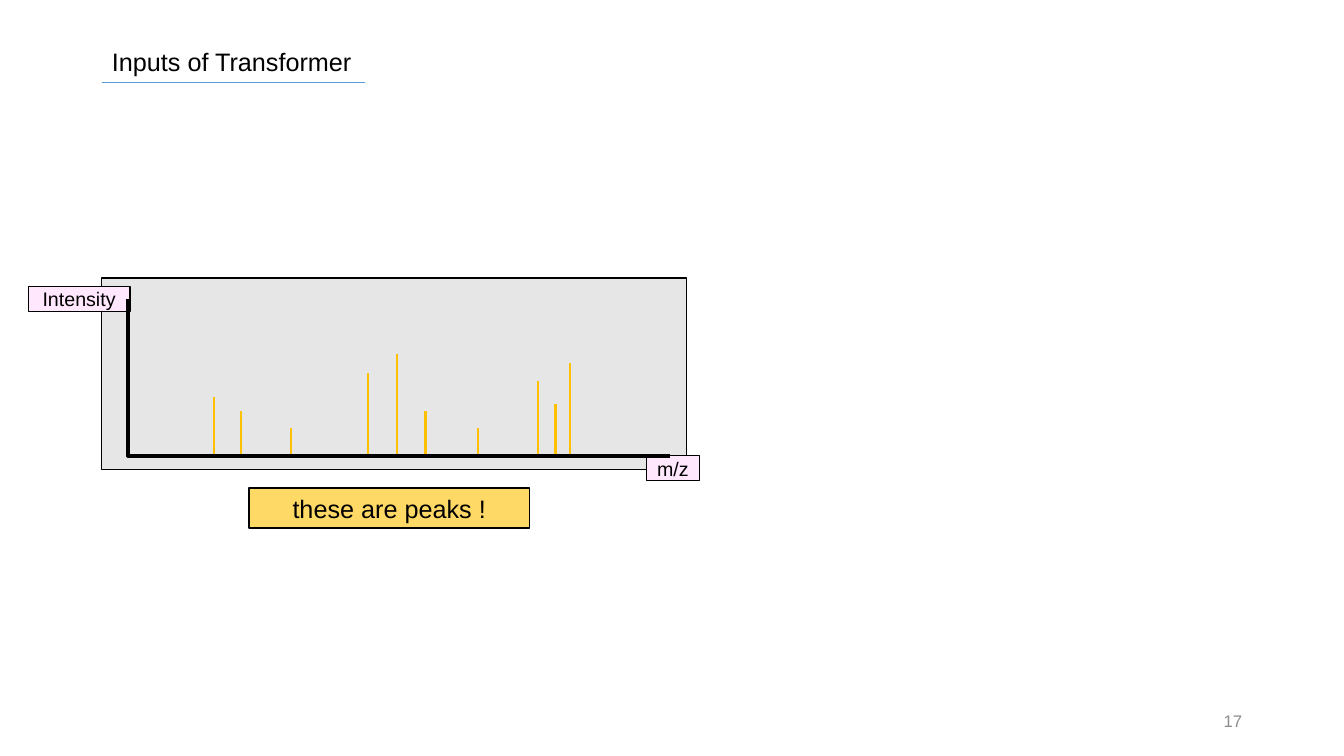
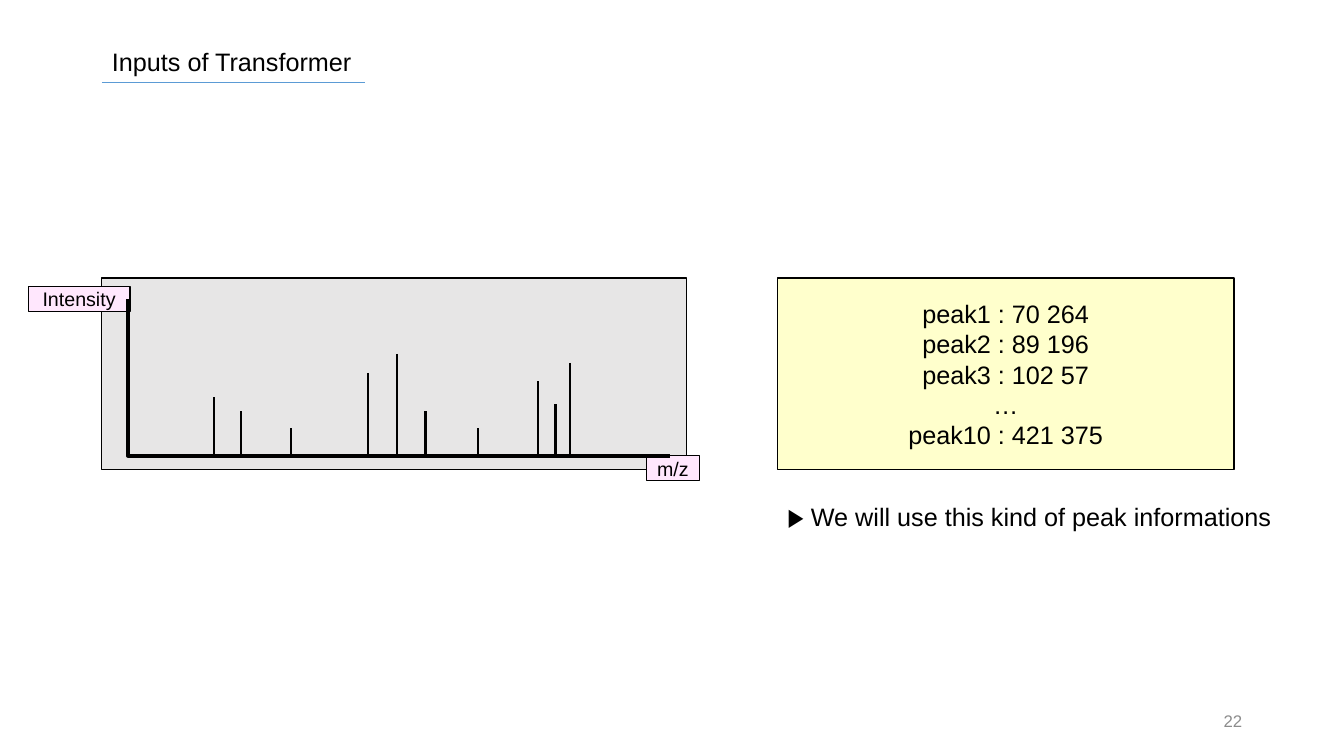
"""Build two slides on the peak inputs of a transformer."""
from dataclasses import dataclass
from typing import Any, NamedTuple, Optional

from lxml import etree
from pptx import Presentation, util as u
from pptx.dml.color import RGBColor
from pptx.enum import shapes, text
from pptx.oxml.ns import qn
from pptx.slide import Slide

PX = 9144


@dataclass(frozen=True)
class Theme:
    """Colours and type sizes of the deck."""

    font: str = "Arial"
    ink: str = "000000"
    rule: str = "5B9BD5"
    panel: str = "E7E6E6"
    label: str = "FFE7FD"
    callout: str = "FFD966"
    peak_list: str = "FFFFCC"
    highlight: str = "FFC000"
    page_number: str = "8C8C8C"
    body_size: int = 18
    label_size: int = 14
    page_size: int = 12


class Box(NamedTuple):
    """A rectangle in px."""

    left: int
    top: int
    width: int
    height: int


class Peak(NamedTuple):
    """A vertical peak line in px."""

    x: int
    top: int
    bottom: int = 452


@dataclass(frozen=True)
class Page:
    """What differs from slide to slide."""

    number: str
    layout: int
    peak_color: str
    callout: str = ""
    peak_list: tuple[str, ...] = ()
    remark: str = ""


THEME = Theme()
TITLE = "Inputs of Transformer"
PANEL = Box(101, 276, 580, 190)
LABELS = {"Intensity": Box(28, 284, 101, 25), "m/z": Box(641, 452, 53, 25)}
AXES = (127, 297, 665, 452)
PEAKS = (
    Peak(212, 394), Peak(239, 408), Peak(289, 425), Peak(365, 370), Peak(394, 351),
    Peak(422, 408), Peak(474, 425), Peak(534, 378), Peak(551, 401, 450), Peak(565, 360),
)
PAGES = (
    Page("17", 5, THEME.highlight, callout="these are peaks !"),
    Page(
        "22", 1, THEME.ink,
        peak_list=("peak1 : 70 264", "peak2 : 89 196", "peak3 : 102 57", "…", "peak10 : 421 375"),
        remark="▶ We will use this kind of peak informations",
    ),
)


def assign(target: Any, values: dict[str, Any]) -> None:
    """Set every attribute named in a format dict."""
    for name, value in values.items():
        setattr(target, name, value)


def place(shape: Any, box: Box) -> None:
    """Move and size a shape."""
    assign(shape, {name: value * PX for name, value in box._asdict().items()})


def outline(shape: Any, color: str, width: float) -> None:
    """Give a shape or connector a solid line."""
    shape.line.color.rgb = RGBColor.from_string(color)
    shape.line.width = u.Pt(width)


def paint(shape: Any, fill: str) -> None:
    """Fill a shape and give it a thin dark edge."""
    shape.fill.solid()
    shape.fill.fore_color.rgb = RGBColor.from_string(fill)
    outline(shape, THEME.ink, 1)


def write(shape: Any, lines: tuple[str, ...], size: int = THEME.body_size,
          color: str = THEME.ink, align: Any = text.PP_ALIGN.LEFT,
          anchor: Any = text.MSO_ANCHOR.TOP, wrap: bool = True) -> None:
    """Write formatted paragraphs into a shape."""
    frame = shape.text_frame
    frame.text = "\n".join(lines)
    assign(frame, {"word_wrap": wrap, "auto_size": text.MSO_AUTO_SIZE.NONE,
                   "vertical_anchor": anchor})
    for paragraph in frame.paragraphs:
        assign(paragraph, {"alignment": align, "space_before": u.Pt(0)})
        for run in paragraph.runs:
            assign(run.font, {"name": THEME.font, "size": u.Pt(size)})
            run.font.color.rgb = RGBColor.from_string(color)


def add_box(parent: Any, box: Box, fill: str, caption: str = "",
            size: int = THEME.body_size) -> None:
    """Add an edged rectangle with an optional centred caption."""
    shape = parent.add_shape(shapes.MSO_SHAPE.RECTANGLE, *(value * PX for value in box))
    shape.shadow.inherit = False
    paint(shape, fill)
    if caption:
        write(shape, (caption,), size, align=text.PP_ALIGN.CENTER,
              anchor=text.MSO_ANCHOR.MIDDLE, wrap=False)


def add_line(parent: Any, ends: tuple[int, int, int, int], color: str, width: float,
             bend: Optional[int] = None) -> None:
    """Add a straight line, or an elbow when a bend is given."""
    kind = shapes.MSO_CONNECTOR.STRAIGHT if bend is None else shapes.MSO_CONNECTOR.ELBOW
    connector = parent.add_connector(kind, *(value * PX for value in ends))
    outline(connector, color, width)
    properties = connector._element.spPr
    etree.SubElement(properties, qn("a:effectLst"))
    if bend is not None:
        adjustments = properties.find(qn("a:prstGeom")).find(qn("a:avLst"))
        etree.SubElement(adjustments, qn("a:gd"), name="adj1", fmla=f"val {bend}")


def add_text(slide: Slide, box: Box, caption: str, **formats: Any) -> None:
    """Add a plain line of text."""
    write(slide.shapes.add_textbox(*(value * PX for value in box)), (caption,), **formats)


def add_frame(slide: Slide, number: str) -> None:
    """Draw the title, its rule and the page number."""
    title = slide.shapes.title
    place(title, Box(101, 41, 569, 40))
    write(title, (TITLE,))
    add_line(slide.shapes, (101, 82, 362, 82), THEME.rule, 0.5)
    add_text(slide, Box(942, 695, 300, 40), number, size=THEME.page_size,
             color=THEME.page_number, align=text.PP_ALIGN.RIGHT, anchor=text.MSO_ANCHOR.MIDDLE)


def add_spectrum(slide: Slide, peak_color: str) -> None:
    """Draw the grouped mass spectrum."""
    parts = slide.shapes.add_group_shape().shapes
    add_box(parts, PANEL, THEME.panel)
    for caption, box in LABELS.items():
        add_box(parts, box, THEME.label, caption, THEME.label_size)
    for peak in PEAKS:
        add_line(parts, (peak.x, peak.top, peak.x, peak.bottom), peak_color, 1.5)
    add_line(parts, AXES, THEME.ink, 3, bend=0)


def fill_peak_list(slide: Slide, lines: tuple[str, ...]) -> None:
    """Show the peak list in the body placeholder."""
    body = slide.placeholders[1]
    place(body, Box(771, PANEL.top, 453, PANEL.height))
    paint(body, THEME.peak_list)
    write(body, lines, align=text.PP_ALIGN.CENTER, anchor=text.MSO_ANCHOR.MIDDLE)
    for paragraph in body.text_frame.paragraphs:
        properties = paragraph._p.get_or_add_pPr()
        for name in ("marL", "indent"):
            properties.set(name, "0")
        etree.SubElement(properties, qn("a:buNone"))


def add_page(presentation: Any, page: Page) -> None:
    """Build one slide."""
    slide = presentation.slides.add_slide(presentation.slide_layouts[page.layout])
    add_frame(slide, page.number)
    add_spectrum(slide, page.peak_color)
    if page.callout:
        add_box(slide.shapes, Box(247, 484, 278, 40), THEME.callout, page.callout)
    if page.peak_list:
        fill_peak_list(slide, page.peak_list)
    if page.remark:
        add_text(slide, Box(771, 492, 562, 40), page.remark, wrap=False)


def main() -> None:
    """Build and save the deck."""
    presentation = Presentation()
    assign(presentation, {"slide_width": u.Inches(13.33), "slide_height": u.Inches(7.5)})
    for page in PAGES:
        add_page(presentation, page)
    presentation.save("out.pptx")


if __name__ == "__main__":
    main()
